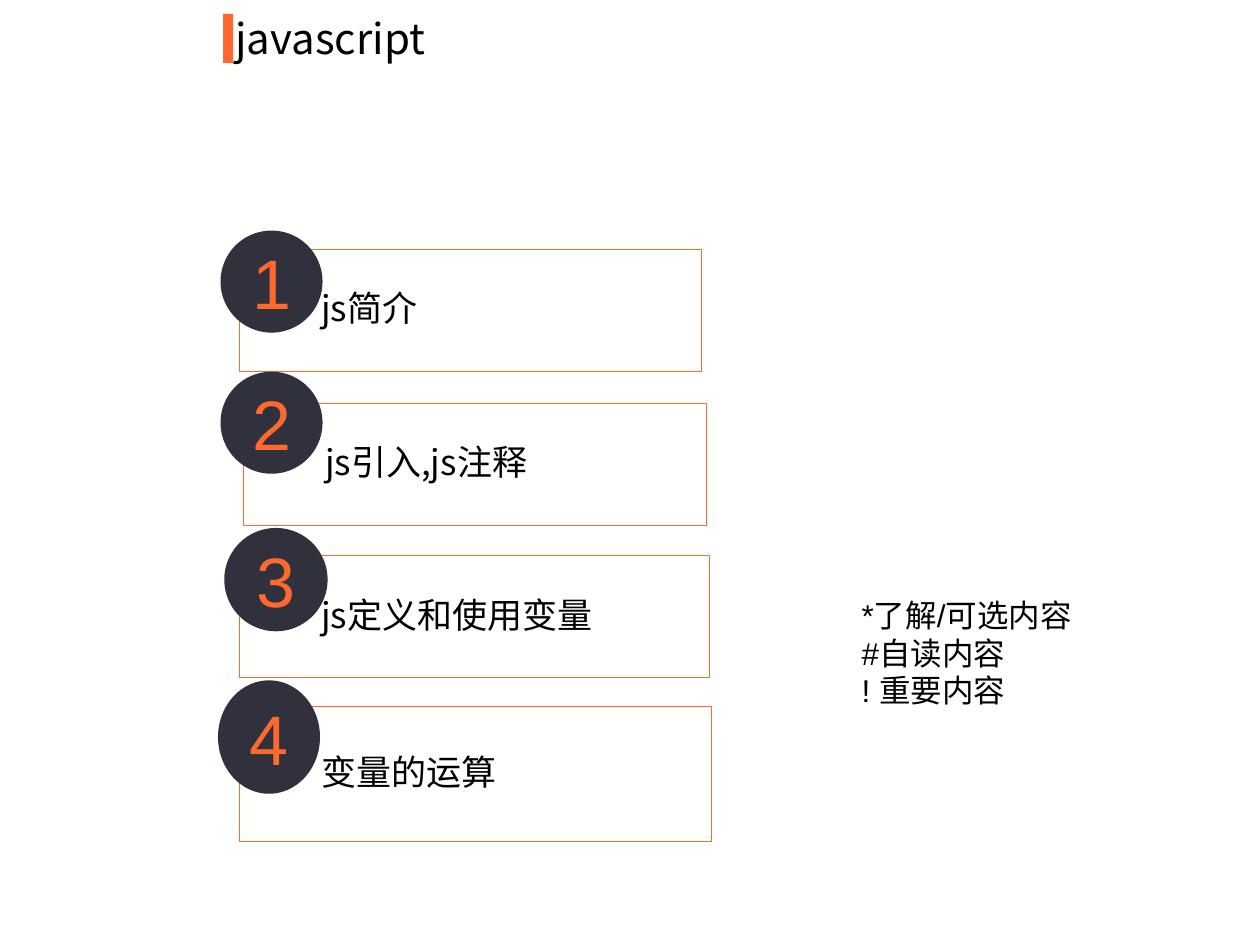
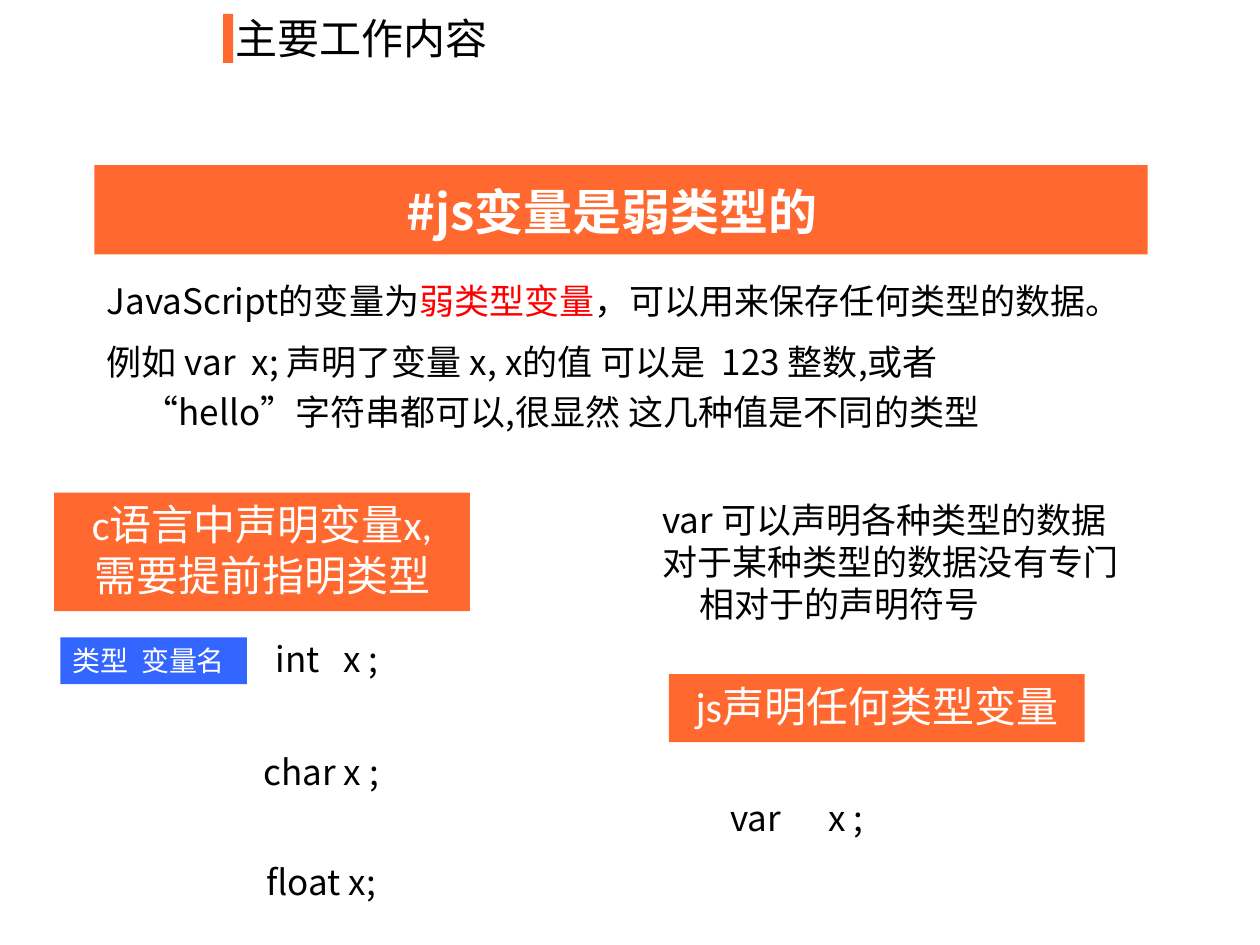
from dataclasses import dataclass

from lxml.etree import SubElement
from pptx import Presentation
from pptx.dml.color import RGBColor
from pptx.enum.shapes import MSO_SHAPE
from pptx.enum.text import MSO_ANCHOR, MSO_AUTO_SIZE, PP_ALIGN
from pptx.oxml.ns import qn
from pptx.util import Inches, Pt

ORANGE, DARK, BLUE = "FF682F", "30313C", "3366FF"
RED, BLACK, WHITE = "FF0000", "000000", "FFFFFF"
NOTO = "Noto Sans CJK SC"
HANG = 0.29


@dataclass
class Box:
    left: float
    top: float
    width: float
    height: float

    def emu(self) -> list:
        return [Inches(n) for n in (self.left, self.top, self.width, self.height)]


@dataclass
class Topic:
    text: str
    card: Box
    disc: Box


@dataclass
class Code:
    text: str
    box: Box


TOPICS = [
    Topic("js简介", Box(1.9, 1.98, 3.67, 0.97), Box(1.75, 1.83, 0.81, 0.81)),
    Topic("js引入,js注释", Box(1.93, 3.2, 3.68, 0.97), Box(1.75, 2.95, 0.81, 0.81)),
    Topic("js定义和使用变量", Box(1.9, 4.41, 3.73, 0.97), Box(1.78, 4.19, 0.82, 0.82)),
    Topic("变量的运算", Box(1.9, 5.61, 3.75, 1.07), Box(1.73, 5.4, 0.81, 0.9)),
]

CODES = [
    Code("int   x ; ", Box(1.8, 5.01, 1.66, 0.44)),
    Code("char x ;", Box(1.7, 5.91, 1.7, 0.44)),
    Code("float x;", Box(1.72, 6.78, 1.66, 0.44)),
    Code("var      x ;", Box(5.4, 6.27, 1.85, 0.44)),
]


def rgb(code: str) -> RGBColor:
    return RGBColor.from_string(code)


def write(shape, text: str, *, size=20, font=NOTO, color=BLACK, bold=False,
          align=PP_ALIGN.LEFT, anchor=MSO_ANCHOR.TOP, wrap=True, hang=0.0,
          space=None, after=0, mark="", inset=(0.1, 0.05, 0.1, 0.05)) -> None:
    """Fill a shape with one paragraph per line; mark is shown in red."""
    frame = shape.text_frame
    frame.word_wrap = wrap
    frame.vertical_anchor = anchor
    (frame.margin_left, frame.margin_top,
     frame.margin_right, frame.margin_bottom) = map(Inches, inset)
    for row, line in enumerate(text.split("\n")):
        para = frame.add_paragraph() if row else frame.paragraphs[0]
        para.alignment = align
        para.space_after = Pt(after)
        if space:
            para.line_spacing = space
        if hang:
            props = para._p.get_or_add_pPr()
            props.set("marL", str(Inches(hang)))
            props.set("indent", str(-Inches(hang)))
        parts = line.partition(mark) if mark else (line,)
        for part in filter(None, parts):
            run = para.add_run()
            run.text = part
            run.font.size, run.font.bold, run.font.name = Pt(size), bold, font
            run.font.color.rgb = rgb(RED if part == mark else color)
            SubElement(run._r.get_or_add_rPr(), qn("a:ea"), typeface=NOTO)


def shape(slide, box: Box, fill: str, kind=MSO_SHAPE.RECTANGLE, line="", alpha=100):
    item = slide.shapes.add_shape(kind, *box.emu())
    item.shadow.inherit = False
    item.fill.solid()
    item.fill.fore_color.rgb = rgb(fill)
    if alpha < 100:
        tone = item._element.spPr.find(qn("a:solidFill"))[0]
        SubElement(tone, qn("a:alpha"), val=str(alpha * 1000))
    if line:
        item.line.color.rgb = rgb(line)
        item.line.width = Pt(0.75)
    else:
        item.line.fill.background()
    return item


def label(slide, box: Box, text: str, **form) -> None:
    item = slide.shapes.add_textbox(*box.emu())
    write(item, text, **form)
    item.text_frame.auto_size = MSO_AUTO_SIZE.SHAPE_TO_FIT_TEXT


def start(deck, title: str):
    """Add a slide with the shared orange bar and title."""
    slide = deck.slides.add_slide(deck.slide_layouts[6])
    shape(slide, Box(1.77, 0.11, 0.08, 0.39), ORANGE)
    label(slide, Box(1.77, 0.05, 2.6, 0.5), title, size=24)
    return slide


def agenda(deck) -> None:
    slide = start(deck, "javascript")
    # Numbered topics
    for num, topic in enumerate(TOPICS, 1):
        card = shape(slide, topic.card, WHITE, line=ORANGE, alpha=40)
        write(card, topic.text, anchor=MSO_ANCHOR.MIDDLE, space=0.9, after=8.8,
              inset=(0.65, 0.08, 0.08, 0.08))
        disc = shape(slide, topic.disc, DARK, MSO_SHAPE.OVAL)
        write(disc, str(num), size=40, font="Arial", color=ORANGE,
              align=PP_ALIGN.CENTER, anchor=MSO_ANCHOR.MIDDLE)
    # Key to the marks
    label(slide, Box(6.74, 4.68, 2.04, 1), "*了解/可选内容\n#自读内容\n! 重要内容",
          size=18, font="Arial", wrap=False)


def typing(deck) -> None:
    slide = start(deck, "主要工作内容")
    # Heading band
    shape(slide, Box(0.75, 1.31, 8.36, 0.71), ORANGE)
    label(slide, Box(2.72, 1.39, 4.27, 0.57), "#js变量是弱类型的", size=28,
          color=WHITE, bold=True, align=PP_ALIGN.CENTER)
    # Explanations
    label(slide, Box(0.75, 2.1, 8.27, 1.39),
          "JavaScript的变量为弱类型变量，可以用来保存任何类型的数据。\n"
          "例如 var  x; 声明了变量 x, x的值 可以是  123 整数,或者 "
          "“hello”字符串都可以,很显然 这几种值是不同的类型",
          hang=HANG, space=1.2, after=6, mark="弱类型变量")
    label(slide, Box(5.16, 3.91, 4.07, 1.1),
          "var 可以声明各种类型的数据\n对于某种类型的数据没有专门相对于的声明符号",
          hang=HANG)
    # Declarations in both languages
    for code in CODES:
        label(slide, code.box, code.text, align=PP_ALIGN.CENTER, wrap=False, hang=HANG)
    # Filled captions
    for box, text in (
        (Box(0.43, 3.91, 3.3, 0.94), "c语言中声明变量x,\n需要提前指明类型"),
        (Box(5.31, 5.35, 3.3, 0.54), "js声明任何类型变量"),
    ):
        write(shape(slide, box, ORANGE), text, size=24, font="Calibri",
              color=WHITE, align=PP_ALIGN.CENTER)
    write(shape(slide, Box(0.48, 5.06, 1.48, 0.37), BLUE), "类型  变量名",
          size=16, font="Calibri", color=WHITE)


def main() -> None:
    deck = Presentation()
    deck.slide_width, deck.slide_height = Inches(10), Inches(7.5)
    agenda(deck)
    typing(deck)
    deck.save("out.pptx")


if __name__ == "__main__":
    main()
